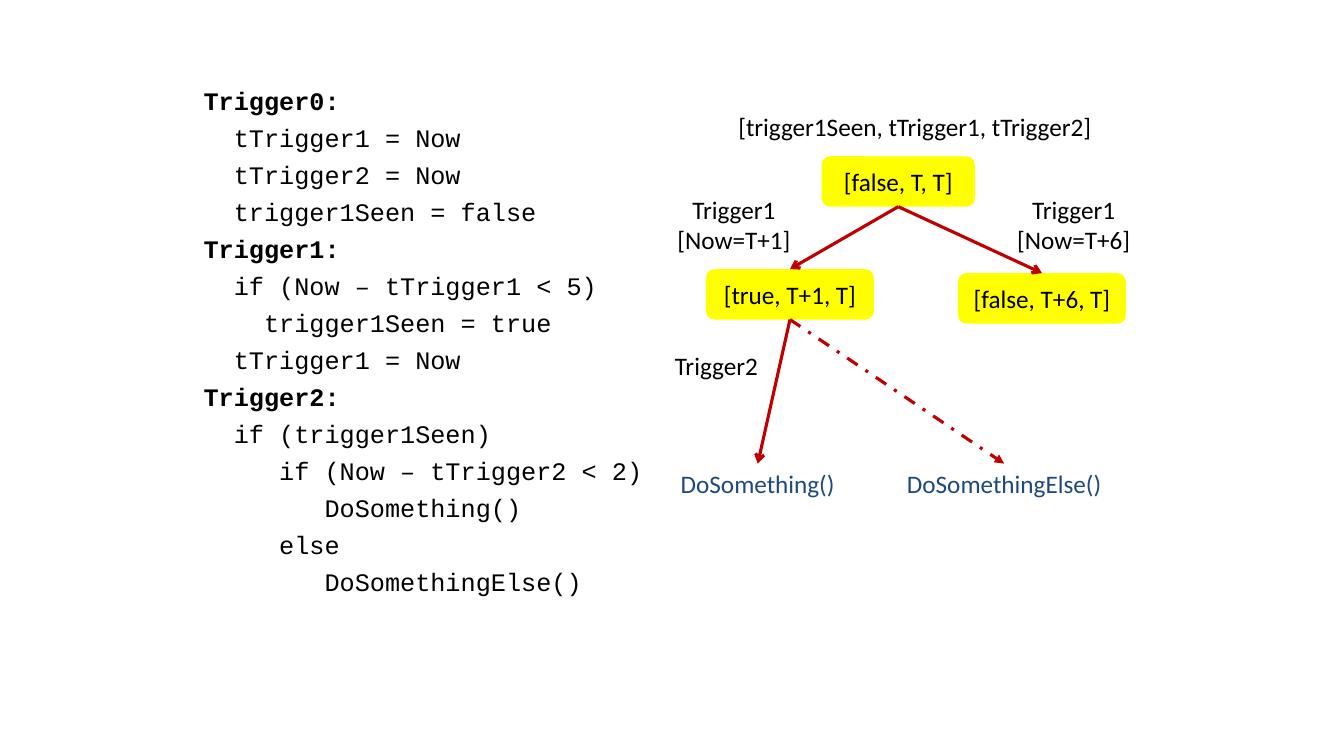
from lxml.etree import SubElement
from pptx import Presentation
from pptx.dml.color import RGBColor
from pptx.enum.dml import MSO_LINE
from pptx.enum.shapes import MSO_CONNECTOR, MSO_SHAPE
from pptx.enum.text import MSO_ANCHOR, PP_ALIGN
from pptx.oxml.ns import qn
from pptx.util import Inches, Pt

BLACK = RGBColor(0, 0, 0)
NAVY = RGBColor(0x1F, 0x49, 0x7D)
YELLOW = RGBColor(0xFF, 0xFF, 0)
RED = RGBColor(0xC0, 0, 0)

CODE = """Trigger0:
  tTrigger1 = Now
  tTrigger2 = Now
  trigger1Seen = false
Trigger1:
  if (Now – tTrigger1 < 5)
    trigger1Seen = true
  tTrigger1 = Now
Trigger2:
  if (trigger1Seen)
     if (Now – tTrigger2 < 2)
        DoSomething()
     else
        DoSomethingElse()""".split("\n")

# Places are centre x, top, width, height in percent of the slide.
CODE_PLACE = (31.77, 10, 34.73, 72.67)
LINE, TWO_LINES, STATE = 5.33, 9.47, 6.67
LABEL_TOP, ACTION_TOP = 25.07, 61.33

STATES = {
    "[false, T, T]": (66.84, 20.67, 11.4, STATE),
    "[true, T+1, T]": (58.78, 35.6, 12.5, STATE),
    "[false, T+6, T]": (77.53, 36.13, 12.5, STATE),
}
LABELS = {
    "[trigger1Seen, tTrigger1, tTrigger2]": (68.08, 14.13, 28.88, LINE),
    "Trigger1 [Now=T+1]": (54.61, LABEL_TOP, 10.5, TWO_LINES),
    "Trigger1 [Now=T+6]": (79.89, LABEL_TOP, 10.2, TWO_LINES),
    "Trigger2": (53.3, 45.73, 10.88, LINE),
}
ACTIONS = {
    "DoSomething()": (56.38, ACTION_TOP, 13.58, LINE),
    "DoSomethingElse()": (74.72, ACTION_TOP, 16.8, LINE),
}
TRANSITIONS = [  # from, to, head, dash
    ("[false, T, T]", "[true, T+1, T]", "arrow", None),
    ("[false, T, T]", "[false, T+6, T]", "arrow", None),
    ("[true, T+1, T]", "DoSomething()", "arrow", None),
    ("[true, T+1, T]", "DoSomethingElse()", "triangle", MSO_LINE.DASH_DOT),
]

prs = Presentation()
prs.slide_width, prs.slide_height = Inches(13.33), Inches(7.5)
slide = prs.slides.add_slide(prs.slide_layouts[6])


def frame(place):
    """Turn a place in percent into left, top, width, height."""
    centre, top, width, height = place
    across, down = prs.slide_width / 100, prs.slide_height / 100
    return (int((centre - width / 2) * across), int(top * down),
            int(width * across), int(height * down))


def style(paragraph, font_name, color):
    font = paragraph.font
    font.name, font.size, font.color.rgb = font_name, Pt(18), color


def write_centred(shape, text, color):
    shape.text_frame.word_wrap = True
    paragraph = shape.text_frame.paragraphs[0]
    paragraph.text = text
    paragraph.alignment = PP_ALIGN.CENTER
    style(paragraph, "Calibri", color)


def add_code():
    body = slide.shapes.add_textbox(*frame(CODE_PLACE)).text_frame
    body.word_wrap = True
    body.margin_top = Inches(0.1)
    for number, code_line in enumerate(CODE):
        paragraph = body.add_paragraph() if number else body.paragraphs[0]
        paragraph.text = code_line
        style(paragraph, "Courier New", BLACK)
        paragraph.font.bold = not code_line.startswith(" ")
        if number:
            paragraph.space_before = Pt(4.8)


def add_state(text, place):
    state = slide.shapes.add_shape(MSO_SHAPE.ROUNDED_RECTANGLE, *frame(place))
    state.shadow.inherit = False
    state.fill.solid()
    state.fill.fore_color.rgb = YELLOW
    state.line.fill.background()
    state.text_frame.vertical_anchor = MSO_ANCHOR.MIDDLE
    write_centred(state, text, BLACK)


def add_transition(source, target, head, dash):
    """Draw an arrow from the bottom of one state to the top of its target."""
    left, top, width, height = frame(STATES[source])
    to_left, to_top, to_width, _ = frame((STATES | ACTIONS)[target])
    arrow = slide.shapes.add_connector(
        MSO_CONNECTOR.STRAIGHT, left + width // 2, top + height,
        to_left + to_width // 2, to_top)
    arrow.line.color.rgb = RED
    arrow.line.width = Pt(2.25)
    if dash:
        arrow.line.dash_style = dash
    SubElement(arrow.line._get_or_add_ln(), qn("a:tailEnd"), type=head)
    SubElement(arrow._element.spPr, qn("a:effectLst"))


for text, place in STATES.items():
    add_state(text, place)
for transition in TRANSITIONS:
    add_transition(*transition)
for labels, color in ((LABELS, BLACK), (ACTIONS, NAVY)):
    for text, place in labels.items():
        write_centred(slide.shapes.add_textbox(*frame(place)), text, color)
add_code()

prs.save("out.pptx")
